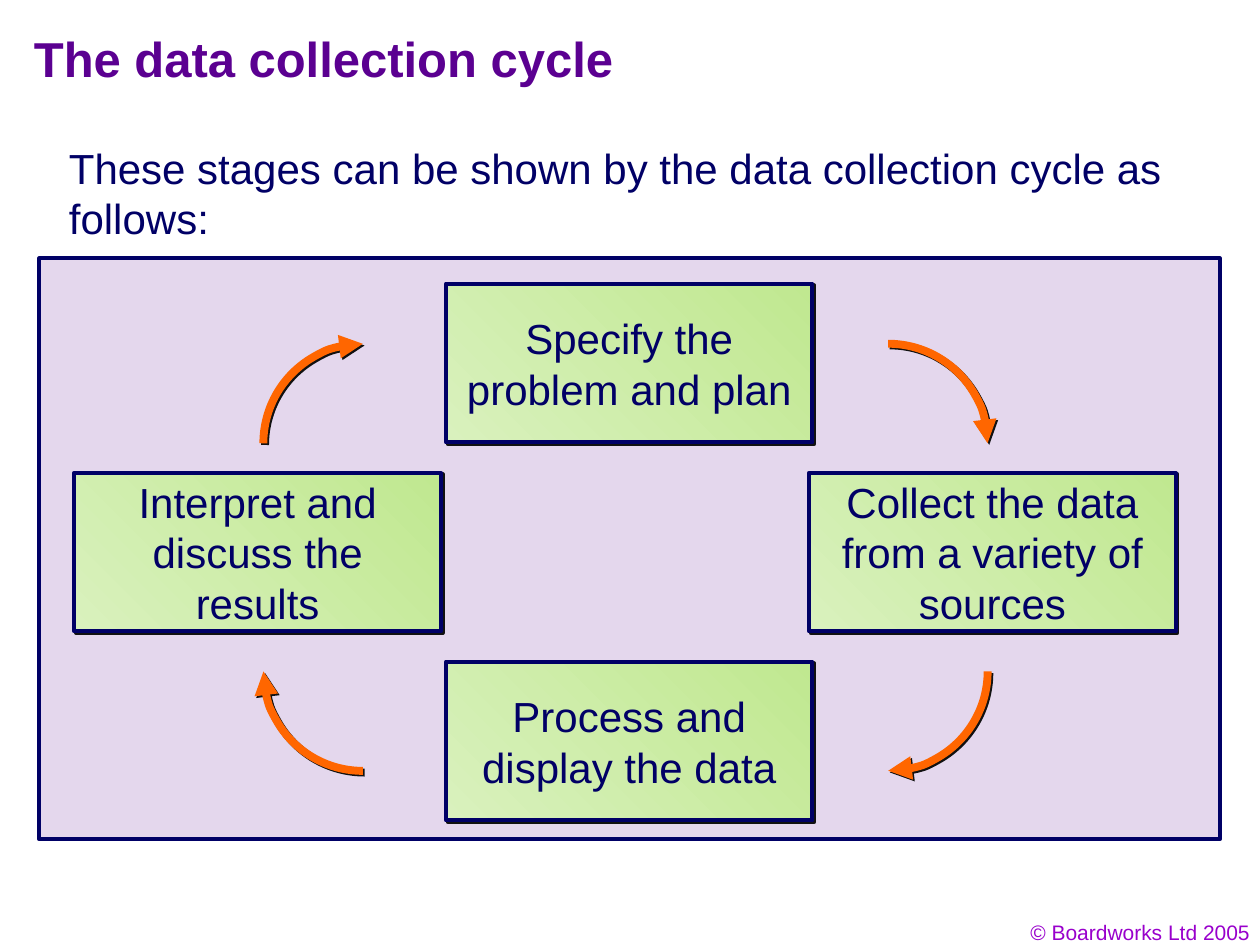
from lxml.etree import SubElement
from pptx import Presentation
from pptx.dml.color import RGBColor
from pptx.enum.shapes import MSO_SHAPE
from pptx.enum.text import MSO_ANCHOR, PP_ALIGN
from pptx.oxml.ns import qn
from pptx.util import Cm, Pt

NAVY = "000066"
TEXT_NAVY = "010066"
STAGE_WIDTH, STAGE_HEIGHT = 7.39, 3.2
ARROW_SIZE = 4.01

STAGES = [
    ("Specify the problem and plan", 8.99, 5.72),
    ("Collect the data from a variety of sources", 16.31, 9.53),
    ("Process and display the data", 8.99, 13.34),
    ("Interpret and discuss the results", 1.5, 9.53),
]
ARROWS = [(15.9, 6.93), (15.9, 11.53), (5.31, 11.53), (5.31, 6.93)]


def color(value):
    return RGBColor.from_string(value)


def box(left, top, width, height):
    return Cm(left), Cm(top), Cm(width), Cm(height)


def write(shape, text, size, text_color, alignment=PP_ALIGN.LEFT,
          anchor=MSO_ANCHOR.TOP, bold=False):
    frame = shape.text_frame
    frame.word_wrap = True
    frame.vertical_anchor = anchor
    paragraph = frame.paragraphs[0]
    paragraph.alignment = alignment
    run = paragraph.add_run()
    run.text = text
    run.font.name = "Arial"
    run.font.size = Pt(size)
    run.font.bold = bold
    run.font.color.rgb = color(text_color)


def add_title(slide, text):
    title = slide.shapes.title
    title.left, title.top, title.width, title.height = box(0.43, 0.43, 16.08, 1.47)
    write(title, text, 28, "5B0091", anchor=MSO_ANCHOR.MIDDLE, bold=True)


def add_text(slide, text, place, size, text_color, alignment=PP_ALIGN.LEFT):
    shape = slide.shapes.add_textbox(*box(*place))
    write(shape, text, size, text_color, alignment)


def add_outlined(slide, kind, place, line_color, line_width):
    shape = slide.shapes.add_shape(kind, *box(*place))
    shape.line.color.rgb = color(line_color)
    shape.line.width = Pt(line_width)
    shape.shadow.inherit = False
    return shape


def add_hard_shadow(shape):
    effects = shape.element.spPr.find(qn("a:effectLst"))
    shadow = SubElement(effects, qn("a:outerShdw"), dist=str(Pt(1.4)),
                        dir="2700000", algn="ctr", rotWithShape="0")
    SubElement(shadow, qn("a:srgbClr"), val="111111")


def add_panel(slide):
    panel = add_outlined(slide, MSO_SHAPE.RECTANGLE,
                         (0.79, 5.21, 23.8, 11.71), NAVY, 2.25)
    panel.fill.solid()
    panel.fill.fore_color.rgb = color("E4D7ED")


def add_stage(slide, text, left, top):
    stage = add_outlined(slide, MSO_SHAPE.RECTANGLE,
                         (left, top, STAGE_WIDTH, STAGE_HEIGHT), NAVY, 2.25)
    stage.fill.gradient()
    stage.fill.gradient_angle = 225
    for stop, value in zip(stage.fill.gradient_stops, ("C0E890", "D9F1BD")):
        stop.color.rgb = color(value)
    add_hard_shadow(stage)
    write(stage, text, 24, TEXT_NAVY, PP_ALIGN.CENTER, MSO_ANCHOR.MIDDLE)


def add_cycle_arrow(slide, left, top, rotation):
    arrow = add_outlined(slide, MSO_SHAPE.ARC,
                         (left, top, ARROW_SIZE, ARROW_SIZE), "FF6600", 4.5)
    arrow.fill.background()
    arrow.rotation = rotation
    SubElement(arrow.element.spPr.find(qn("a:ln")), qn("a:tailEnd"), type="triangle")
    add_hard_shadow(arrow)


def main():
    presentation = Presentation()
    presentation.slide_width, presentation.slide_height = Cm(25.4), Cm(19.05)
    slide = presentation.slides.add_slide(presentation.slide_layouts[5])
    add_text(slide, "© Boardworks Ltd 2005", (19.53, 18.42, 5.92, 0.76),
             12, "9900CC", PP_ALIGN.RIGHT)
    add_title(slide, "The data collection cycle")
    add_text(slide,
             "These stages can be shown by the data collection cycle as follows:",
             (1.14, 2.74, 23.16, 2.29), 24, TEXT_NAVY)
    add_panel(slide)
    for text, left, top in STAGES:
        add_stage(slide, text, left, top)
    for index, (left, top) in enumerate(ARROWS):
        add_cycle_arrow(slide, left, top, index * 90)
    presentation.save("out.pptx")


if __name__ == "__main__":
    main()
